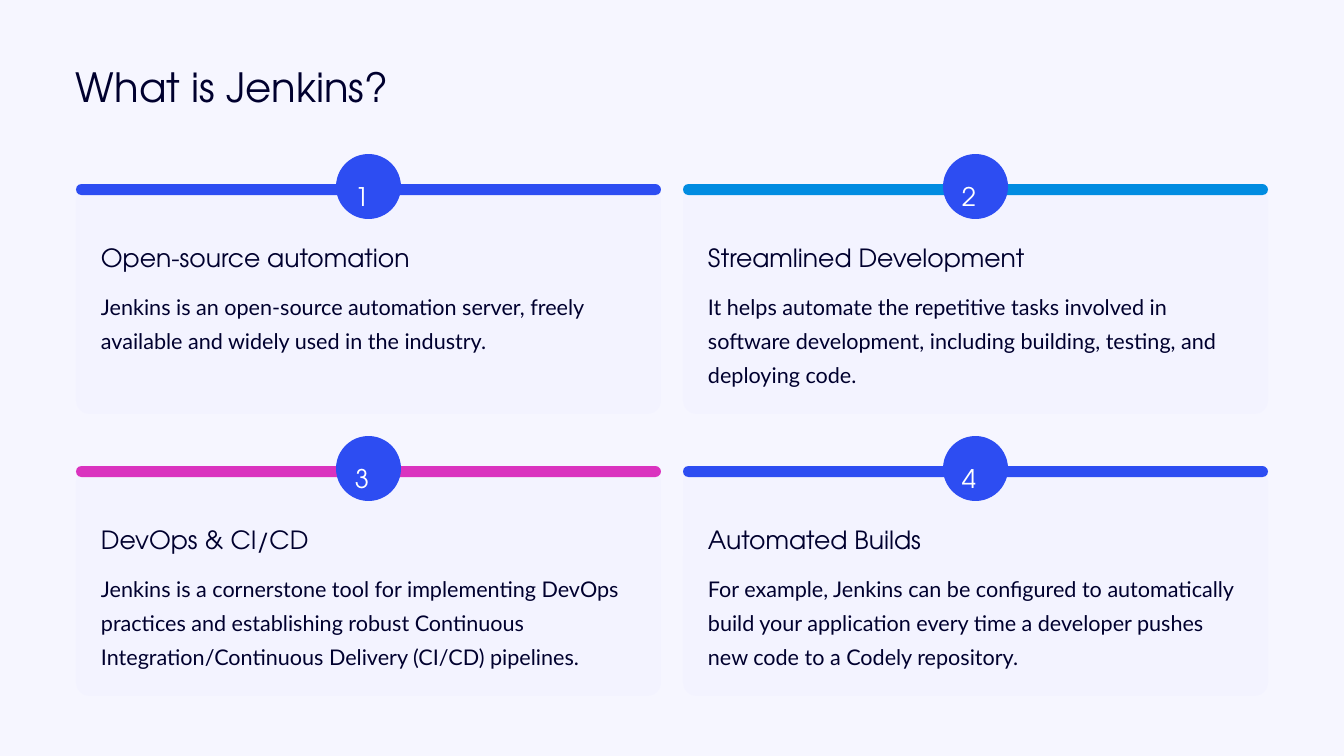
from dataclasses import dataclass

from lxml import etree
from pptx import Presentation
from pptx import util as u
from pptx.dml.color import RGBColor
from pptx.enum import shapes, text
from pptx.oxml.ns import qn
from pptx.shapes.autoshape import Shape
from pptx.slide import Slide

PX = 914400 / 84

NAVY = RGBColor(0x00, 0x00, 0x2E)
WHITE = RGBColor(0xFF, 0xFF, 0xFF)
BLUE = RGBColor(0x2D, 0x4D, 0xF2)
SKY = RGBColor(0x01, 0x8C, 0xE1)
MAGENTA = RGBColor(0xDA, 0x33, 0xBF)
LAVENDER = RGBColor(0xF3, 0xF3, 0xFF)
LAVENDER_OPACITY = 75

DISPLAY_FONT = "TeX Gyre Adventor"
BODY_FONT = "Lato"

SLIDE_WIDTH, SLIDE_HEIGHT = 1344, 756
CARD_LEFT, CARD_TOP = 76, 186
CARD_WIDTH, CARD_HEIGHT = 585, 228
CARD_PADDING = 25
TEXT_WIDTH = 536
COLUMN_STEP, ROW_STEP = 607, 282
COLUMNS = 2


@dataclass(frozen=True)
class Box:
    left: int
    top: int
    width: int
    height: int

    def emu(self) -> tuple[int, ...]:
        return tuple(round(n * PX) for n in (self.left, self.top, self.width, self.height))


@dataclass(frozen=True)
class TextStyle:
    font: str
    size: float
    line_pitch: float
    color: RGBColor = NAVY
    wrap: bool = False


@dataclass(frozen=True)
class Card:
    heading: str
    body: str
    bar_color: RGBColor


TITLE = TextStyle(DISPLAY_FONT, 34.5, 43.5)
NUMBER = TextStyle(DISPLAY_FONT, 22, 35.5, color=WHITE)
HEADING = TextStyle(DISPLAY_FONT, 21.5, 27)
BODY = TextStyle(BODY_FONT, 18.5, 29.5, wrap=True)

CARDS = [
    Card(
        "Open-source automation",
        "Jenkins is an open-source automation server, freely available and "
        "widely used in the industry.",
        BLUE,
    ),
    Card(
        "Streamlined Development",
        "It helps automate the repetitive tasks involved in software development, "
        "including building, testing, and deploying code.",
        SKY,
    ),
    Card(
        "DevOps & CI/CD",
        "Jenkins is a cornerstone tool for implementing DevOps practices and "
        "establishing robust Continuous Integration/Continuous Delivery (CI/CD) pipelines.",
        MAGENTA,
    ),
    Card(
        "Automated Builds",
        "For example, Jenkins can be configured to automatically build your application "
        "every time a developer pushes new code to a Codely repository.",
        BLUE,
    ),
]


def add_panel(slide: Slide, box: Box, color: RGBColor, rounding: float = 0.5) -> Shape:
    """Add a borderless filled panel; rounding 0 gives square corners."""
    kind = shapes.MSO_SHAPE.ROUNDED_RECTANGLE if rounding else shapes.MSO_SHAPE.RECTANGLE
    panel = slide.shapes.add_shape(kind, *box.emu())
    if rounding:
        panel.adjustments[0] = rounding
    panel.shadow.inherit = False
    panel.fill.solid()
    panel.fill.fore_color.rgb = color
    panel.line.fill.background()
    return panel


def add_tint(slide: Slide, box: Box, rounding: float) -> None:
    """Add a see-through lavender panel."""
    panel = add_panel(slide, box, LAVENDER, rounding)
    color = panel.fill._xPr.find(qn("a:solidFill"))[0]
    etree.SubElement(color, qn("a:alpha")).set("val", str(LAVENDER_OPACITY * 1000))


def add_text(slide: Slide, box: Box, words: str, style: TextStyle) -> None:
    frame = slide.shapes.add_textbox(*box.emu()).text_frame
    frame.margin_left = frame.margin_right = frame.margin_top = frame.margin_bottom = 0
    frame.word_wrap = style.wrap
    frame.vertical_anchor = text.MSO_ANCHOR.TOP
    paragraph = frame.paragraphs[0]
    paragraph.line_spacing = u.Pt(style.line_pitch)
    run = paragraph.add_run()
    run.text = words
    run.font.name = style.font
    run.font.size = u.Pt(style.size)
    run.font.color.rgb = style.color


def add_card(slide: Slide, index: int, card: Card) -> None:
    row, column = divmod(index, COLUMNS)
    left = CARD_LEFT + column * COLUMN_STEP
    top = CARD_TOP + row * ROW_STEP
    text_left = left + CARD_PADDING

    add_tint(slide, Box(left, top, CARD_WIDTH, CARD_HEIGHT), 0.06)
    add_panel(slide, Box(left, top - 2, CARD_WIDTH, 11), card.bar_color)
    add_panel(slide, Box(left + 260, top - 32, 65, 65), BLUE)
    add_text(slide, Box(left + 279, top - 16, 26, 33), str(index + 1), NUMBER)
    add_text(slide, Box(text_left, top + 55, TEXT_WIDTH, 32), card.heading, HEADING)
    add_text(slide, Box(text_left, top + 99, TEXT_WIDTH, 104), card.body, BODY)


def main() -> None:
    deck = Presentation()
    deck.slide_width, deck.slide_height = u.Inches(16), u.Inches(9)
    slide = deck.slides.add_slide(deck.slide_layouts[6])
    slide.background.fill.solid()
    slide.background.fill.fore_color.rgb = WHITE

    add_tint(slide, Box(0, 0, SLIDE_WIDTH, SLIDE_HEIGHT), 0)
    add_text(slide, Box(76, 60, 408, 51), "What is Jenkins?", TITLE)
    for index, card in enumerate(CARDS):
        add_card(slide, index, card)

    deck.save("out.pptx")


if __name__ == "__main__":
    main()
